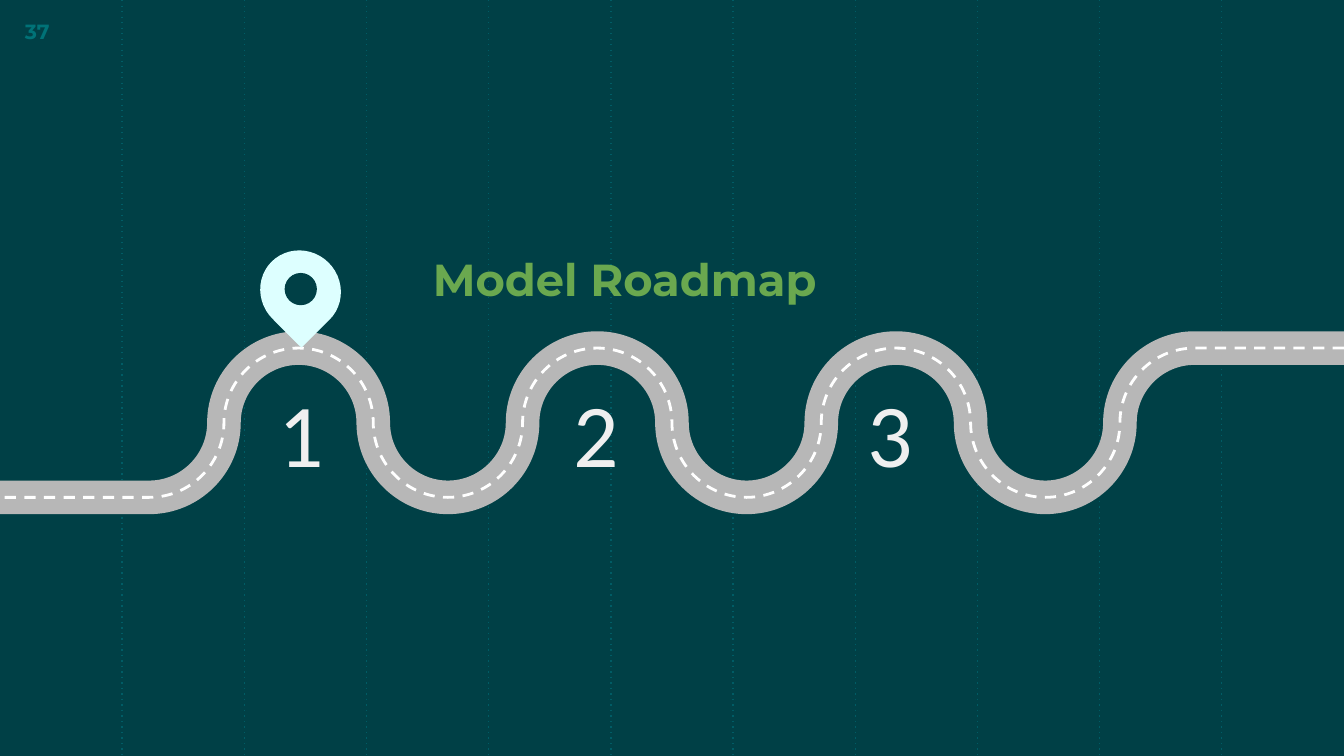
from lxml.etree import Element, SubElement
from pptx import Presentation
from pptx.dml.color import RGBColor
from pptx.enum.dml import MSO_LINE
from pptx.enum.shapes import MSO_CONNECTOR, MSO_SHAPE as SHAPE
from pptx.enum.text import MSO_ANCHOR as ANCHOR, PP_ALIGN as ALIGN
from pptx.oxml.ns import qn
from pptx.util import Cm, Pt

WIDTH, HEIGHT = 25.4, 14.29
ARC = 0.55  # handle length of a quarter circle, relative to its radius
COLORS = {
    "background": "004046", "guide": "005C65", "number": "007277",
    "title": "6AA84F", "road": "B7B7B7", "marking": "FFFFFF",
    "pin": "DDFFFF", "step": "EFEFEF",
}


def rgb(name):
    return RGBColor.from_string(COLORS[name])


class SlideBuilder:
    """Draws styled elements on one slide; lengths are in centimetres."""

    def __init__(self, slide):
        self.s = slide
        fill = slide.background.fill
        fill.solid()
        fill.fore_color.rgb = rgb("background")

    def outline(self, sp, color, width, dash=None):
        sp.line.color.rgb = rgb(color)
        sp.line.width = Pt(width)
        if dash:
            sp.line.dash_style = dash

    def guide(self, x):
        sp = self.s.shapes.add_connector(
            MSO_CONNECTOR.STRAIGHT, Cm(x), Cm(0), Cm(x), Cm(HEIGHT))
        self.outline(sp, "guide", 0.75, MSO_LINE.ROUND_DOT)
        sp.line._ln.find(qn("a:prstDash")).set("val", "dot")
        SubElement(sp._element.spPr, qn("a:effectLst"))

    def road(self, points, color, width, dash=None):
        """Straight first and last stretch, quarter circles in between."""
        pts = [(Cm(x), Cm(y)) for x, y in points]
        builder = self.s.shapes.build_freeform(*pts[0])
        builder.add_line_segments(pts[1:], close=False)
        sp = builder.convert_to_shape()
        sp.shadow.inherit = False
        sp.fill.background()
        self.outline(sp, color, width, dash)

        stretches = list(sp._element.iter(qn("a:lnTo")))[1:-1]
        for i, stretch in enumerate(stretches):
            (x1, y1), (x2, y2) = pts[i + 1], pts[i + 2]
            dx, dy = ARC * (x2 - x1), ARC * (y2 - y1)
            if i % 2 == 0:  # level at the start, upright at the end
                handles = [(x1 + dx, y1), (x2, y2 - dy)]
            else:
                handles = [(x1, y1 + dy), (x2 - dx, y2)]
            curve = Element(qn("a:cubicBezTo"))
            for x, y in handles + [(x2, y2)]:
                SubElement(curve, qn("a:pt"), x=str(round(x - sp.left)),
                           y=str(round(y - sp.top)))
            stretch.getparent().replace(stretch, curve)

    def shape(self, kind, x, y, w, h, color, rotation=0):
        sp = self.s.shapes.add_shape(kind, Cm(x), Cm(y), Cm(w), Cm(h))
        sp.shadow.inherit = False
        sp.rotation = rotation
        sp.fill.solid()
        sp.fill.fore_color.rgb = rgb(color)
        sp.line.fill.background()

    def text(self, text, x, y, w, h, color, size, font="Montserrat",
             bold=True, align=ALIGN.LEFT, anchor=ANCHOR.BOTTOM, inset=0):
        sp = self.s.shapes.add_textbox(Cm(x), Cm(y), Cm(w), Cm(h))
        tf = sp.text_frame
        tf.word_wrap = True
        tf.vertical_anchor = anchor
        tf.margin_left = tf.margin_right = Cm(inset)
        tf.margin_top = tf.margin_bottom = Cm(inset)
        p = tf.paragraphs[0]
        p.text = text
        p.alignment = align
        r = p.runs[0]
        r.font.name, r.font.size, r.font.bold = font, Pt(size), bold
        r.font.color.rgb = rgb(color)
        return r

    def slide_number(self, number, *args, **style):
        """Text that is a live slide-number field."""
        run = self.text(str(number), *args, **style)._r
        field = Element(qn("a:fld"), type="slidenum",
                        id="{00000000-1234-1234-1234-123412341234}")
        run.getparent().replace(run, field)
        field.extend(list(run))


def road_points(top=6.58, bends=8):
    """Corner points from right to left, one for each quarter circle."""
    pitch = WIDTH / (bends + 1)
    radius = pitch / 2
    levels = [top, top + radius, top + pitch, top + radius]
    quarters = 2 * (bends - 1)
    corners = [(WIDTH - pitch - i * radius, levels[i % 4])
               for i in range(quarters + 1)]
    return [(WIDTH, top), *corners, (0, top + pitch)]


def main():
    prs = Presentation()
    prs.slide_width, prs.slide_height = Cm(WIDTH), Cm(HEIGHT)
    prs.element.set("firstSlideNum", "37")
    b = SlideBuilder(prs.slides.add_slide(prs.slide_layouts[6]))

    # Background guides
    for i in range(1, 11):
        b.guide(i * WIDTH / 11)

    # Slide number and title
    b.slide_number(37, 0.47, 0.2, 1.4, 0.8, "number", 11,
                   anchor=ANCHOR.MIDDLE)
    b.text("Model Roadmap", 7.93, 4.09, 16.43, 1.93, "title", 24, inset=0.25)

    # Road with its centre marking
    road = road_points()
    b.road(road, "road", 18)
    b.road(road, "marking", 1.5, MSO_LINE.DASH)

    # Location pin
    b.shape(SHAPE.TEAR, 4.93, 4.72, 1.5, 1.55, "pin", rotation=135)
    b.shape(SHAPE.OVAL, 5.38, 5.16, 0.61, 0.61, "background")

    # Step numbers
    for i in range(3):
        b.text(str(i + 1), 3.91 + i * 5.56, 7.7, 3.58, 1.47, "step", 48,
               font="Calibri", bold=False, align=ALIGN.CENTER)

    prs.save("out.pptx")


if __name__ == "__main__":
    main()
